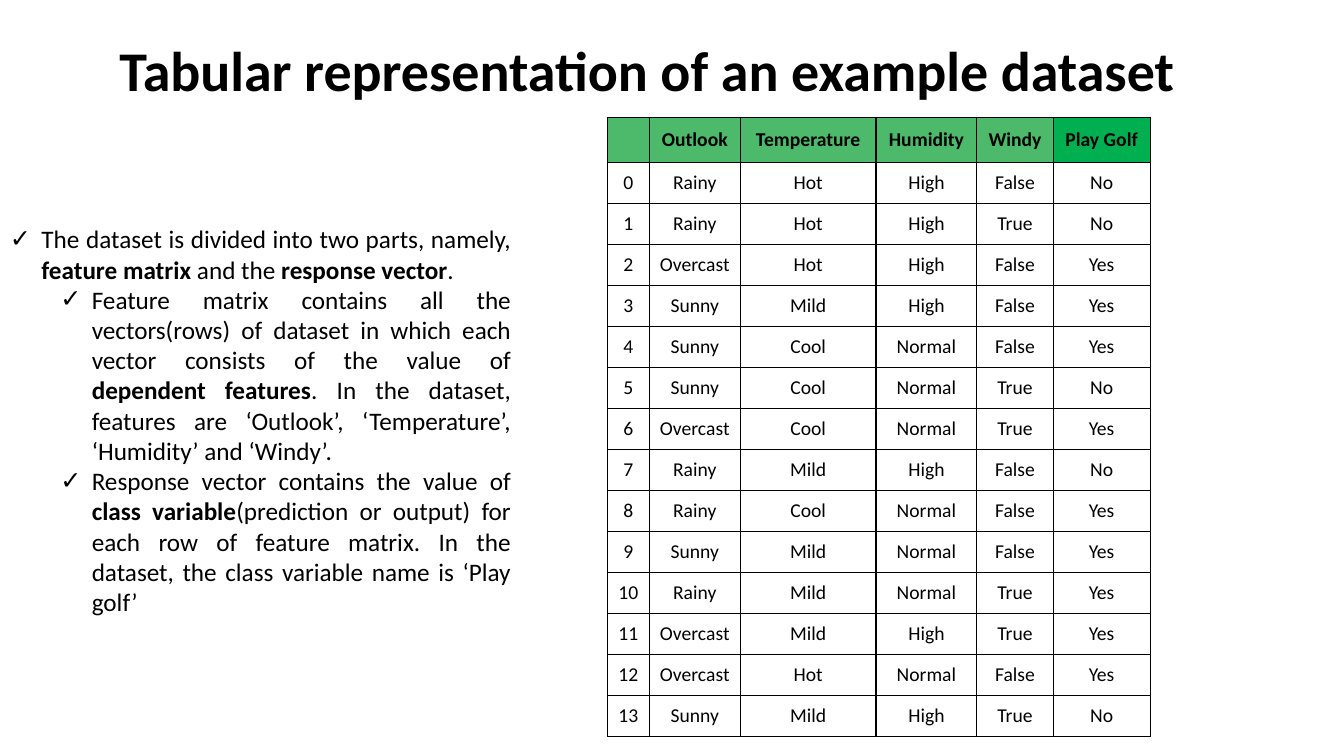
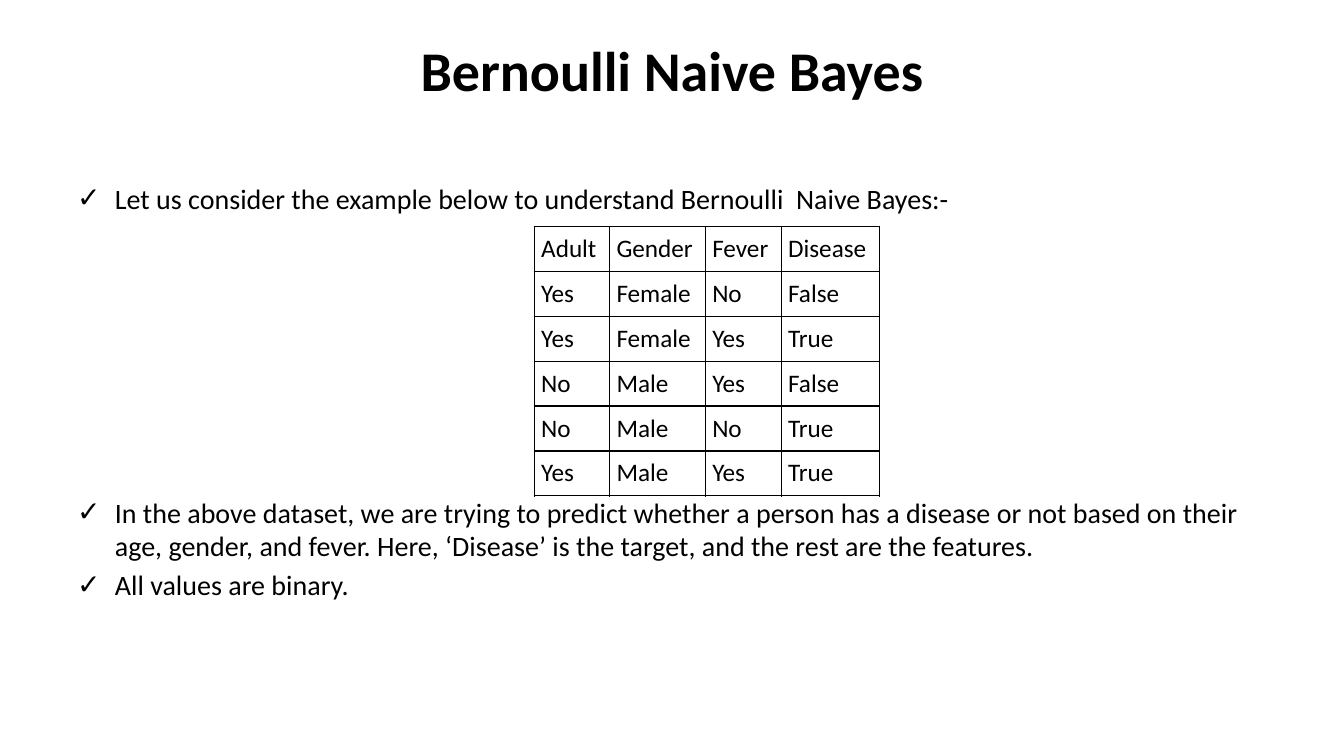
from dataclasses import dataclass

from lxml import etree
from pptx import Presentation
from pptx.dml.color import RGBColor
from pptx.enum.text import MSO_ANCHOR, PP_ALIGN
from pptx.oxml.ns import qn
from pptx.util import Pt

LEFT, CENTER, JUSTIFY = PP_ALIGN.LEFT, PP_ALIGN.CENTER, PP_ALIGN.JUSTIFY
TOP, MIDDLE = MSO_ANCHOR.TOP, MSO_ANCHOR.MIDDLE

FONT = "Calibri"
BLACK = "000000"
WHITE = "FFFFFF"
FEATURE_GREEN = "4CB96B"
RESPONSE_GREEN = "00B050"
BODY_LINE = 24
BODY_GAP = 4
TABLE_LINES = 7


@dataclass(frozen=True)
class Box:
    left: float
    top: float
    width: float
    height: float


@dataclass(frozen=True)
class Bullet:
    text: str
    margin: float
    hang: float
    before: float = 0


@dataclass(frozen=True)
class RowStyle:
    height: float
    size: float
    inset_x: float
    inset_y: float
    align: PP_ALIGN
    anchor: MSO_ANCHOR
    bold: bool = False


def rgb(value: str) -> RGBColor:
    return RGBColor.from_string(value)


def add_runs(p, text: str, size: float, bold: bool = False) -> None:
    for i, part in enumerate(text.split("**")):
        if not part:
            continue
        r = p.add_run()
        r.text = part
        font = {"name": FONT, "size": Pt(size), "bold": bold or i % 2 == 1}
        for name, value in font.items():
            setattr(r.font, name, value)
        r.font.color.rgb = rgb(BLACK)


def add_text_frame(s, box: Box):
    sp = s.shapes.add_textbox(Pt(box.left), Pt(box.top), Pt(box.width), Pt(box.height))
    sp.text_frame.word_wrap = True
    return sp.text_frame


def add_title(s, text: str, left: float, width: float) -> None:
    p = add_text_frame(s, Box(left, 21.6, width, 90)).paragraphs[0]
    p.alignment = CENTER
    add_runs(p, text, 40, True)


def add_bullets(s, box: Box, bullets: list[Bullet], size: float, align: PP_ALIGN) -> None:
    tf = add_text_frame(s, box)
    for i, bullet in enumerate(bullets):
        p = tf.add_paragraph() if i else tf.paragraphs[0]
        pPr = p._p.get_or_add_pPr()
        pPr.set("marL", str(Pt(bullet.margin)))
        pPr.set("indent", str(-Pt(bullet.hang)))
        etree.SubElement(pPr, qn("a:buFont"), typeface="Arial")
        etree.SubElement(pPr, qn("a:buChar"), char="✓")
        p.alignment = align
        if bullet.before:
            p.space_before = Pt(bullet.before)
        add_runs(p, bullet.text, size)


def add_borders(cell) -> None:
    tcPr = cell._tc.get_or_add_tcPr()
    for i, side in enumerate(("lnL", "lnR", "lnT", "lnB")):
        ln = etree.Element(qn(f"a:{side}"), w=str(Pt(1)))
        fill = etree.SubElement(ln, qn("a:solidFill"))
        etree.SubElement(fill, qn("a:srgbClr"), val=BLACK)
        tcPr.insert(i, ln)


def fill_cell(cell, text: str, style: RowStyle, color: str) -> None:
    cell.fill.solid()
    cell.fill.fore_color.rgb = rgb(color)
    layout = {
        "margin_left": Pt(style.inset_x),
        "margin_right": Pt(style.inset_x),
        "margin_top": Pt(style.inset_y),
        "margin_bottom": Pt(style.inset_y),
        "vertical_anchor": style.anchor,
    }
    for name, value in layout.items():
        setattr(cell, name, value)
    p = cell.text_frame.paragraphs[0]
    p.alignment = style.align
    add_runs(p, text, style.size, style.bold)
    add_borders(cell)


def add_data_table(s, left: float, top: float, widths: list[float], rows: list[list[str]],
                   head: RowStyle, body: RowStyle, head_colors: list[str]) -> None:
    height = head.height + body.height * (len(rows) - 1)
    tbl = s.shapes.add_table(len(rows), len(widths), Pt(left), Pt(top),
                             Pt(sum(widths)), Pt(height)).table
    tbl.first_row = False
    tbl.horz_banding = False
    for col, width in zip(tbl.columns, widths):
        col.width = Pt(width)
    for i, row in enumerate(rows):
        style = body if i else head
        tbl.rows[i].height = Pt(style.height)
        for j, text in enumerate(row):
            fill_cell(tbl.cell(i, j), text, style, WHITE if i else head_colors[j])


GOLF_HEAD = ["", "Outlook", "Temperature", "Humidity", "Windy", "Play Golf"]
GOLF_DAYS = [
    "Rainy Hot High False No",
    "Rainy Hot High True No",
    "Overcast Hot High False Yes",
    "Sunny Mild High False Yes",
    "Sunny Cool Normal False Yes",
    "Sunny Cool Normal True No",
    "Overcast Cool Normal True Yes",
    "Rainy Mild High False No",
    "Rainy Cool Normal False Yes",
    "Sunny Mild Normal False Yes",
    "Rainy Mild Normal True Yes",
    "Overcast Mild High True Yes",
    "Overcast Hot Normal False Yes",
    "Sunny Mild High True No",
]
PATIENTS = [
    "Adult Gender Fever Disease",
    "Yes Female No False",
    "Yes Female Yes True",
    "No Male Yes False",
    "No Male No True",
    "Yes Male Yes True",
]
DATASET_BULLETS = [
    Bullet("The dataset is divided into two parts, namely, **feature matrix** and the "
           "**response vector**.", 22.5, 22.5),
    Bullet("Feature matrix contains all the vectors(rows) of dataset in which each vector "
           "consists of the value of **dependent features**. In the dataset, features are "
           "‘Outlook’, ‘Temperature’, ‘Humidity’ and ‘Windy’.", 58.5, 22.5),
    Bullet("Response vector contains the value of **class variable**(prediction or output) "
           "for each row of feature matrix. In the dataset, the class variable name is "
           "‘Play golf’", 58.5, 22.5),
]
BERNOULLI_BULLETS = [
    Bullet("Let us consider the example below to understand Bernoulli  Naive Bayes:-", 27, 27),
    Bullet("In the above dataset, we are trying to predict whether a person has a disease or "
           "not based on their age, gender, and fever. Here, ‘Disease’ is the target, and the "
           "rest are the features.", 27, 27,
           TABLE_LINES * (BODY_LINE + BODY_GAP) + BODY_GAP),
    Bullet("All values are binary.", 27, 27, BODY_GAP),
]


def build_dataset_slide(s) -> None:
    add_title(s, "Tabular representation of an example dataset", 12, 900)
    rows = [GOLF_HEAD] + [[str(i), *day.split()] for i, day in enumerate(GOLF_DAYS)]
    add_data_table(
        s, 433.8, 84, [30, 65, 97, 72, 54.5, 69.3], rows,
        RowStyle(32, 14, 3.6, 3.6, CENTER, MIDDLE, True),
        RowStyle(29.3, 14, 4.3, 6.1, CENTER, MIDDLE),
        [FEATURE_GREEN] * 5 + [RESPONSE_GREEN],
    )
    add_bullets(s, Box(0, 156.2, 372.2, 318), DATASET_BULLETS, 18, JUSTIFY)


def build_bernoulli_slide(s) -> None:
    add_title(s, "Bernoulli Naive Bayes", 48, 864)
    add_bullets(s, Box(48, 126, 864, 356.4), BERNOULLI_BULLETS, 20, LEFT)
    style = RowStyle(32.1, 18, 5, 5, LEFT, TOP)
    add_data_table(s, 381.6, 161.7, [53.8, 68.4, 54.2, 70.2],
                   [row.split() for row in PATIENTS], style, style, [WHITE] * 4)


def main() -> None:
    prs = Presentation()
    prs.slide_width, prs.slide_height = Pt(960), Pt(540)
    for build in (build_dataset_slide, build_bernoulli_slide):
        build(prs.slides.add_slide(prs.slide_layouts[6]))
    prs.save("out.pptx")


if __name__ == "__main__":
    main()
